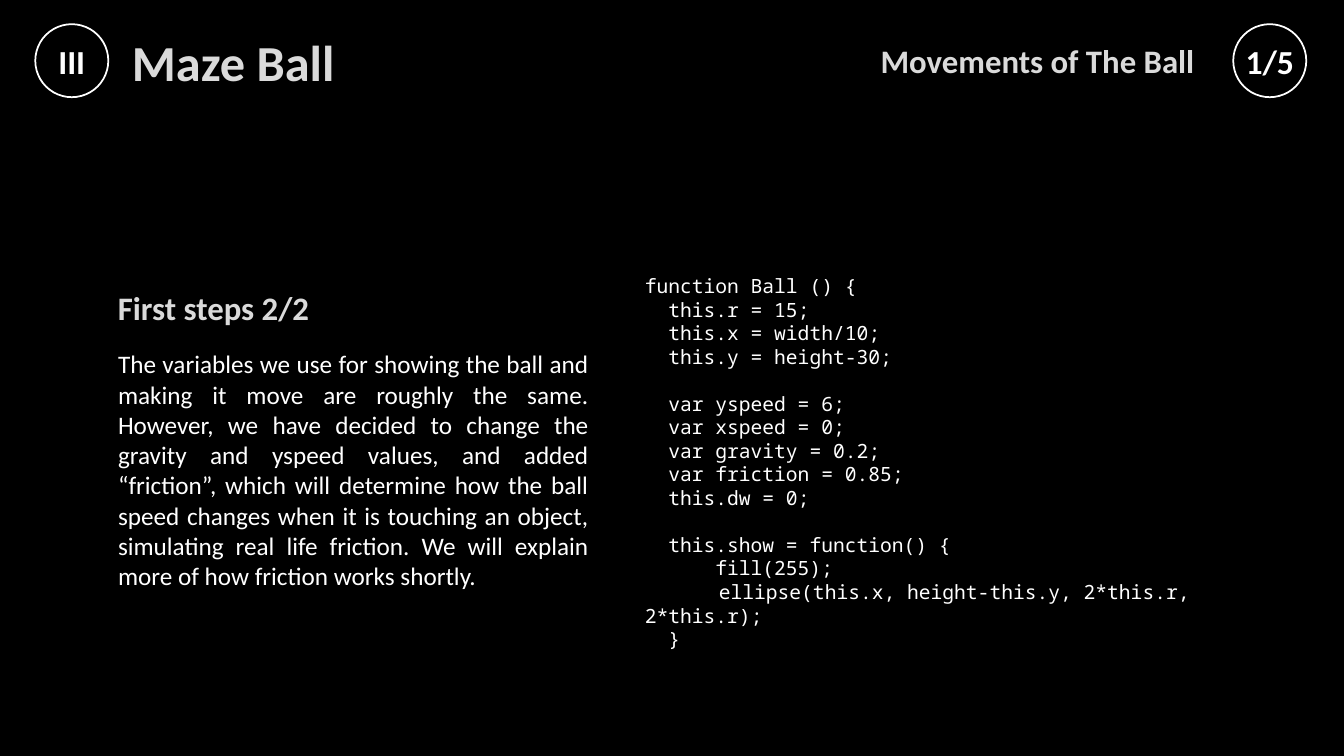
import pptx
import pptx.util
import pptx.dml.color
import pptx.enum.shapes
import pptx.enum.text
import lxml.etree
from pptx.util import Cm

COLORS = {"black": "000000", "white": "FFFFFF", "heading": "DADADA", "outline": "404040"}
ALIGN = pptx.enum.text.PP_ALIGN
ANCHOR = pptx.enum.text.MSO_ANCHOR
FIT = pptx.enum.text.MSO_AUTO_SIZE
CODE_SIZE = 14
CODE_LINE = 16.8
CODE_CHAR = 8.4

CODE_BLOCKS = [
    [(0, "function Ball () {"), (2, "this.r = 15;"), (2, "this.x = width/10;"),
     (2, "this.y = height-30;")],
    [(2, "var yspeed = 6;"), (2, "var xspeed = 0;"), (2, "var gravity = 0.2;"),
     (2, "var friction = 0.85;"), (2, "this.dw = 0;")],
    [(2, "this.show = function() {"), (6, "fill(255);"),
     (6.3, "ellipse(this.x, height-this.y, 2*this.r, 2*this.r);"), (2, "}")],
]
EXPLANATION = (
    "The variables we use for showing the ball and making it move are roughly the same. "
    "However, we have decided to change the gravity and yspeed values, and added “friction”, "
    "which will determine how the ball speed changes when it is touching an object, "
    "simulating real life friction. We will explain more of how friction works shortly."
)


def rgb(name):
    return pptx.dml.color.RGBColor.from_string(COLORS[name])


def style(paragraph, size, color="white", bold=False, align=ALIGN.LEFT, face="Calibri"):
    paragraph.alignment = align
    paragraph.font.size = pptx.util.Pt(size)
    paragraph.font.name = face
    paragraph.font.bold = bold
    paragraph.font.color.rgb = rgb(color)


def place(part, left, top, width, height):
    part.left, part.top, part.width, part.height = Cm(left), Cm(top), Cm(width), Cm(height)


def indent_first_line(paragraph, points):
    properties = paragraph._p.get_or_add_pPr()
    properties.set("marL", "0")
    properties.set("indent", str(int(pptx.util.Pt(points))))


def outline(paragraph):
    for run in paragraph.runs:
        line = lxml.etree.fromstring(
            '<a:ln xmlns:a="http://schemas.openxmlformats.org/drawingml/2006/main" w="9525">'
            f'<a:solidFill><a:srgbClr val="{COLORS["outline"]}"><a:alpha val="10000"/>'
            '</a:srgbClr></a:solidFill></a:ln>')
        run._r.get_or_add_rPr().insert(0, line)


def write_heading(holder, text, size, align=ALIGN.LEFT):
    frame = holder.text_frame
    frame.word_wrap = True
    frame.auto_size = FIT.NONE
    frame.vertical_anchor = ANCHOR.MIDDLE
    frame.text = text
    style(frame.paragraphs[0], size, "heading", True, align)
    outline(frame.paragraphs[0])


def add_badge(slide, text, left, top, diameter):
    badge = slide.shapes.add_shape(pptx.enum.shapes.MSO_SHAPE.OVAL,
                                   Cm(left), Cm(top), Cm(diameter), Cm(diameter))
    badge.shadow.inherit = False
    badge.fill.background()
    badge.line.color.rgb = rgb("white")
    badge.line.width = pptx.util.Pt(1.25)
    frame = badge.text_frame
    frame.margin_left = frame.margin_right = frame.margin_top = frame.margin_bottom = 0
    frame.vertical_anchor = ANCHOR.MIDDLE
    frame.word_wrap = False
    frame.text = text
    style(frame.paragraphs[0], 24, bold=True, align=ALIGN.CENTER)


def add_header(slide, left, top, width):
    diameter = 1.84
    title = slide.shapes.title
    place(title, left + 2.18, top + 0.26, 26.21, 1.35)
    write_heading(title, "Maze Ball", 36)
    add_badge(slide, "III", left, top, diameter)
    add_badge(slide, "1/5", left + width - diameter, top, diameter)
    topic = slide.shapes.add_textbox(Cm(left + width - 14.61), Cm(top - 0.2), Cm(12.04), Cm(2.24))
    write_heading(topic, "Movements of The Ball", 23.4, ALIGN.RIGHT)


def add_lesson(slide, left, top, width):
    step = slide.shapes.add_textbox(Cm(left), Cm(top), Cm(16.56), Cm(2.24))
    write_heading(step, "First steps 2/2", 23.4)
    explanation = slide.placeholders[1]
    place(explanation, left, top + 2.03, width, 6.4)
    frame = explanation.text_frame
    frame.word_wrap = True
    frame.auto_size = FIT.NONE
    frame.vertical_anchor = ANCHOR.TOP
    frame.text = EXPLANATION
    paragraph = frame.paragraphs[0]
    indent_first_line(paragraph, 0)
    paragraph.space_before = pptx.util.Pt(0)
    lxml.etree.SubElement(paragraph._p.get_or_add_pPr(), pptx.oxml.ns.qn("a:buNone"))
    style(paragraph, 18, align=ALIGN.JUSTIFY)


def add_code(slide, left, top, width, height):
    listing = slide.shapes.add_textbox(Cm(left), Cm(top), Cm(width), Cm(height))
    frame = listing.text_frame
    frame.word_wrap = True
    frame.auto_size = FIT.SHAPE_TO_FIT_TEXT
    lines = [(depth, text, number > 0 and position == 0)
             for number, block in enumerate(CODE_BLOCKS)
             for position, (depth, text) in enumerate(block)]
    for index, (depth, text, starts_block) in enumerate(lines):
        paragraph = frame.add_paragraph() if index else frame.paragraphs[0]
        paragraph.text = text
        indent_first_line(paragraph, depth * CODE_CHAR)
        if starts_block:
            paragraph.space_before = pptx.util.Pt(CODE_LINE)
        style(paragraph, CODE_SIZE, face="Noto Sans Mono")


def main():
    deck = pptx.Presentation()
    deck.slide_width, deck.slide_height = Cm(33.87), Cm(19.05)
    slide = deck.slides.add_slide(deck.slide_layouts[1])
    slide.background.fill.solid()
    slide.background.fill.fore_color.rgb = rgb("black")
    add_lesson(slide, 2.72, 6.63, 12.37)
    add_code(slide, 16, 6.78, 16.38, 9.83)
    add_header(slide, 0.89, 0.61, 32.03)
    deck.save("out.pptx")


if __name__ == "__main__":
    main()
